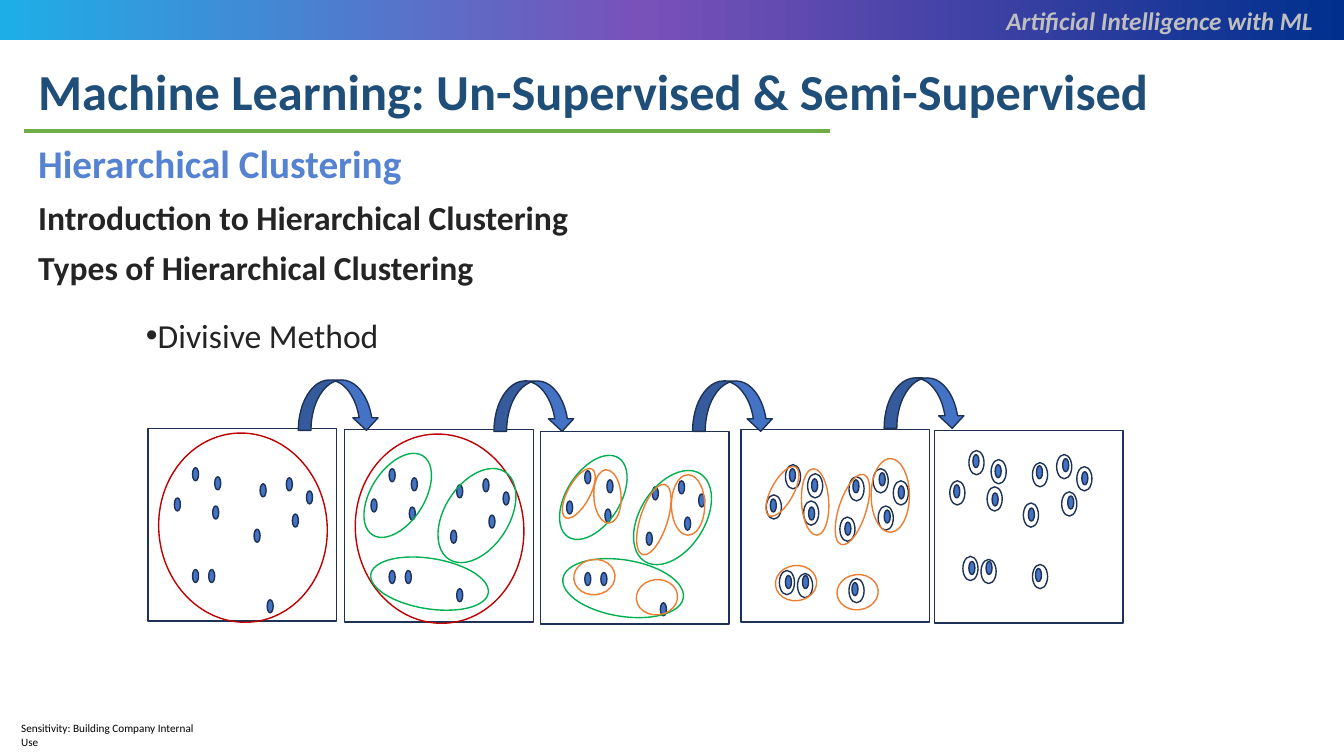
import copy

import pptx
import pptx.dml.color
import pptx.enum.shapes
import pptx.enum.text
import pptx.oxml.ns
import pptx.util
from lxml import etree

PX = 914400 // 100  # 100 px to the inch
NAVY, BLUE, RED, GREEN, ORANGE = "1E3256", "4472C4", "C00000", "00B050", "ED7D31"
INK = "242424"
BANNER_STOPS = [(0, "00308E"), (0.52, "7851B9"), (1, "1EAEE7")]

FOOTER = "Sensitivity: Building Company Internal Use"
TITLE = "Machine Learning: Un-Supervised & Semi-Supervised"
COURSE = "Artificial Intelligence with ML"
# text, size, colour, bold, line spacing, space before
BODY = [
    ("Hierarchical Clustering", 28, "5583D1", True, 0.9, 0),
    ("Introduction to Hierarchical Clustering", 24, INK, True, 0.9, 10),
    ("Types of Hierarchical Clustering", 24, INK, True, 0.9, 10),
    ("Divisive Method", 24, INK, False, 1.5, 5),
]

# Everything inside a panel is placed from the panel's top left corner.
PANEL_SIZE, DOT_SIZE, RING_SIZE = (187, 191), (6, 13), (15, 24)
COMMON_DOTS = [(26, 69), (44, 39), (66, 48), (64, 77), (44, 140), (60, 140),
               (105, 100), (111, 55), (137, 49), (143, 85), (157, 62)]
SPLIT_DOTS = [(29, 69), (48, 39), (70, 49), (67, 77), (44, 145), (61, 145),
              (103, 92), (111, 50), (137, 43), (142, 80), (156, 56), (110, 152)]
SPLIT_RINGS = [(25, 65), (44, 35), (62, 71), (66, 44), (107, 47), (131, 39),
               (151, 51), (38, 140), (98, 87), (136, 76), (107, 148), (56, 143)]
LAST_SHIFT = (-10, -15)

# left, top, width, height, rotation, colour
WHOLE = [(0, 15, 188, 167, 84, RED)]
UPPER_PAIR = [(26, 19, 53, 93, 32.5, GREEN), (99, 34, 64, 103, 32.5, GREEN)]
LOWER_EARLY = [(59, 94, 50, 118, 99.1, GREEN)]
LOWER_LATE = [(54, 95, 56, 121, 99.1, GREEN)]
SUBCLUSTERS = [(36, 124, 35, 41, 83.5, ORANGE), (98, 144, 35, 41, 83.5, ORANGE),
               (53, 38, 27, 53, 356.8, ORANGE), (130, 43, 33, 60, 0, ORANGE),
               (99, 51, 27, 73, 17.9, ORANGE), (27, 34, 22, 55, 28.6, ORANGE)]
SPLIT_CLUSTERS = [(37, 132, 35, 41, 83.5, ORANGE), (98, 141, 35, 41, 83.5, ORANGE),
                  (60, 39, 27, 66, 356.8, ORANGE), (129, 29, 38, 73, 0, ORANGE),
                  (97, 43, 27, 73, 17.9, ORANGE), (30, 34, 22, 55, 28.6, ORANGE)]


def shifted(points, offset):
    return [(x + offset[0], y + offset[1]) for x, y in points]


# corner, dots, clusters, rings
PANELS = [
    ((147, 425), COMMON_DOTS + [(118, 170)], WHOLE, []),
    ((342, 426), COMMON_DOTS + [(111, 158)], WHOLE + LOWER_EARLY + UPPER_PAIR, []),
    ((536, 428), COMMON_DOTS + [(119, 170)], LOWER_LATE + UPPER_PAIR + SUBCLUSTERS, []),
    ((735, 426), SPLIT_DOTS, SPLIT_CLUSTERS, SPLIT_RINGS),
    ((927, 427), shifted(SPLIT_DOTS, LAST_SHIFT), [], shifted(SPLIT_RINGS, LAST_SHIFT)),
]
ARROWS = [(296, 377), (490, 378), (687, 378), (877, 375)]
ARROW_SIZE = (80, 50)

KIND = pptx.enum.shapes.MSO_SHAPE
qn = pptx.oxml.ns.qn


def rgb(value):
    return pptx.dml.color.RGBColor.from_string(value)


def emu(*lengths):
    return [length * PX for length in lengths]


def add_figure(shapes, kind, at, fill=None, line=None, rotation=0):
    figure = shapes.add_shape(kind, *emu(*at))
    figure.shadow.inherit = False
    figure.rotation = rotation
    if fill:
        figure.fill.solid()
        figure.fill.fore_color.rgb = rgb(fill)
    else:
        figure.fill.background()
    if line:
        figure.line.color.rgb = rgb(line)
        figure.line.width = pptx.util.Pt(1)
    else:
        figure.line.fill.background()
    return figure


def add_frame(page, at):
    frame = page.shapes.add_textbox(*emu(*at)).text_frame
    frame.word_wrap = True
    return frame


def add_span(para, text, size, color, bold=False, italic=False):
    span = para.add_run()
    span.text = text
    font = span.font
    font.name, font.size = "Calibri", pptx.util.Pt(size)
    font.bold, font.italic = bold, italic
    font.color.rgb = rgb(color)


def add_banner(page):
    banner = add_figure(page.shapes, KIND.RECTANGLE, (0, 0, 1333, 40))
    banner.fill.gradient()
    banner.fill.gradient_angle = 180
    stop_list = banner.element.find(".//" + qn("a:gsLst"))
    stop_list.append(copy.deepcopy(stop_list[0]))
    for stop, (position, color) in zip(banner.fill.gradient_stops, BANNER_STOPS):
        stop.position = position
        stop.color.rgb = rgb(color)


def add_body(page):
    frame = add_frame(page, (28, 139, 956, 249))
    for index, (text, size, color, bold, spacing, before) in enumerate(BODY):
        para = frame.paragraphs[0] if index == 0 else frame.add_paragraph()
        para.line_spacing = spacing
        para.space_before = pptx.util.Pt(before)
        add_span(para, text, size, color, bold)
    para.level = 5
    props = para._p.get_or_add_pPr()
    props.set("marL", str(75 * PX))
    props.set("indent", str(32 * PX))
    etree.SubElement(props, qn("a:buFont")).set("typeface", "Arial")
    etree.SubElement(props, qn("a:buChar")).set("char", "•")


def add_panel(page, corner, dots, clusters, rings):
    shapes = page.shapes.add_group_shape().shapes
    left, top = corner
    add_figure(shapes, KIND.RECTANGLE, corner + PANEL_SIZE, line=NAVY)
    for points, size, fill in ((dots, DOT_SIZE, BLUE), (rings, RING_SIZE, None)):
        for point in shifted(points, corner):
            add_figure(shapes, KIND.FLOWCHART_CONNECTOR, point + size, fill, NAVY)
    for x, y, width, height, rotation, color in clusters:
        add_figure(shapes, KIND.FLOWCHART_CONNECTOR, (left + x, top + y, width, height),
                   line=color, rotation=rotation)


def main():
    deck = pptx.Presentation()
    deck.slide_width, deck.slide_height = emu(1333, 750)
    page = deck.slides.add_slide(deck.slide_layouts[6])

    add_banner(page)
    footer = add_frame(page, (21, 716, 189, 13))
    footer.margin_left = footer.margin_right = footer.margin_top = footer.margin_bottom = 0
    footer.word_wrap = False
    add_span(footer.paragraphs[0], FOOTER, 8, "000000")
    add_span(add_frame(page, (28, 55, 1162, 71)).paragraphs[0], TITLE, 36, "1F4E79", True)

    rule = page.shapes.add_connector(
        pptx.enum.shapes.MSO_CONNECTOR.STRAIGHT, *emu(24, 130, 823, 130))
    rule.line.color.rgb = rgb("70AD47")
    rule.line.width = pptx.util.Pt(2.25)
    etree.SubElement(rule.element.spPr, qn("a:effectLst"))

    add_body(page)
    course = add_frame(page, (639, 0, 673, 40)).paragraphs[0]
    course.alignment = pptx.enum.text.PP_ALIGN.RIGHT
    add_span(course, COURSE, 18, "BFBFBF", True, True)

    for panel in PANELS:
        add_panel(page, *panel)
    for corner in ARROWS:
        arrow = add_figure(page.shapes, KIND.CURVED_UP_ARROW, corner + ARROW_SIZE, BLUE, NAVY)
        arrow.element.spPr.find(qn("a:xfrm")).set("flipV", "1")
    deck.save("out.pptx")


if __name__ == "__main__":
    main()
